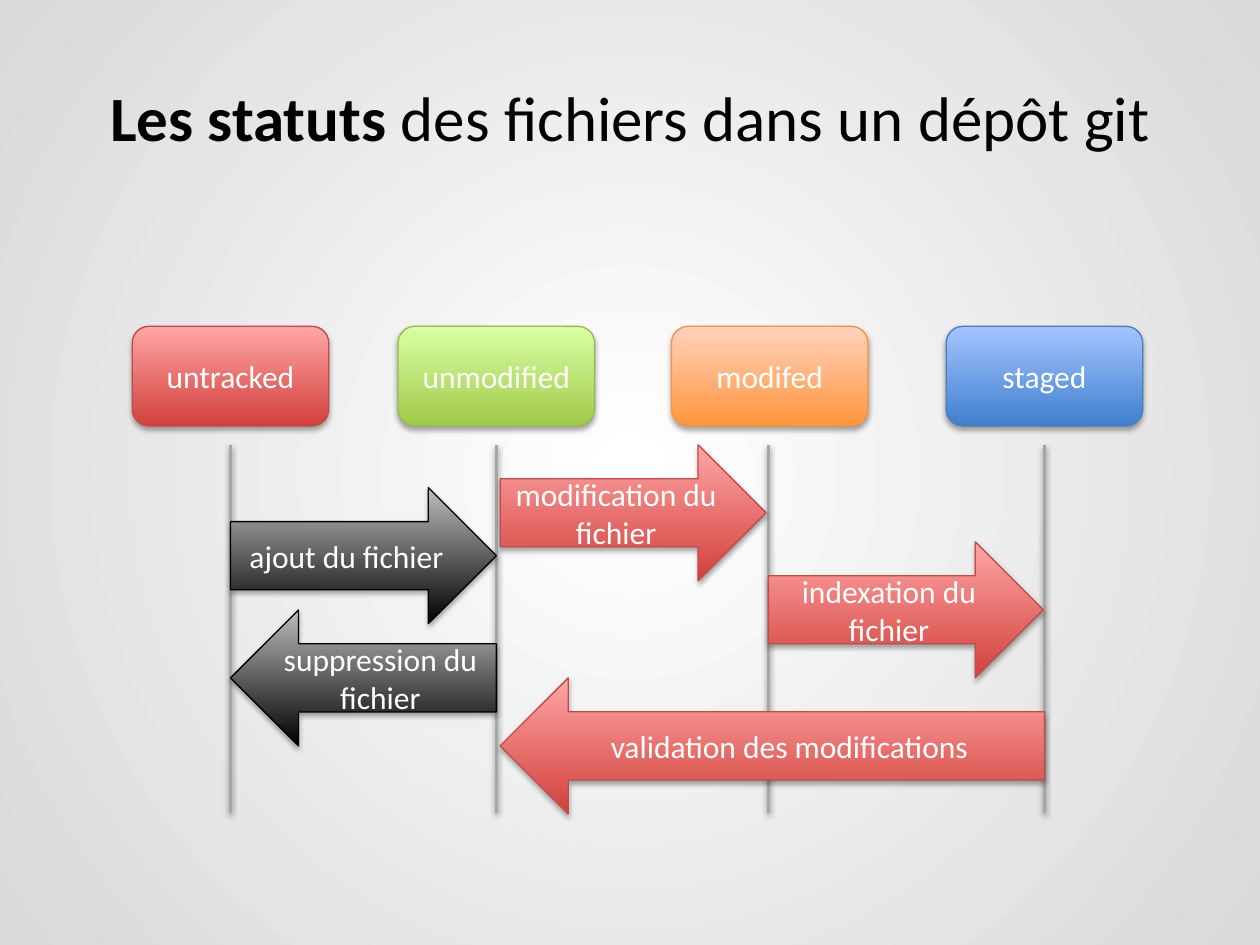
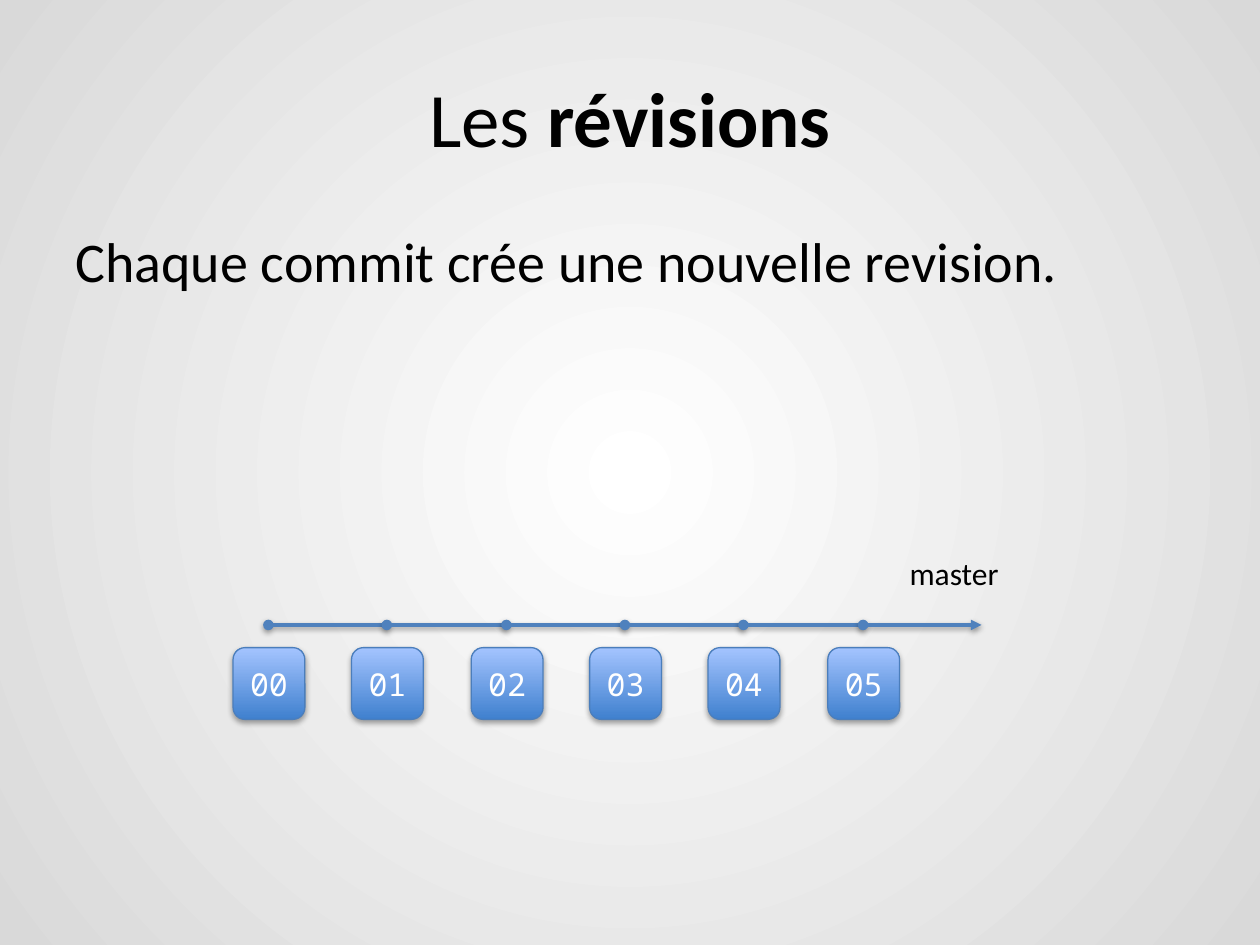
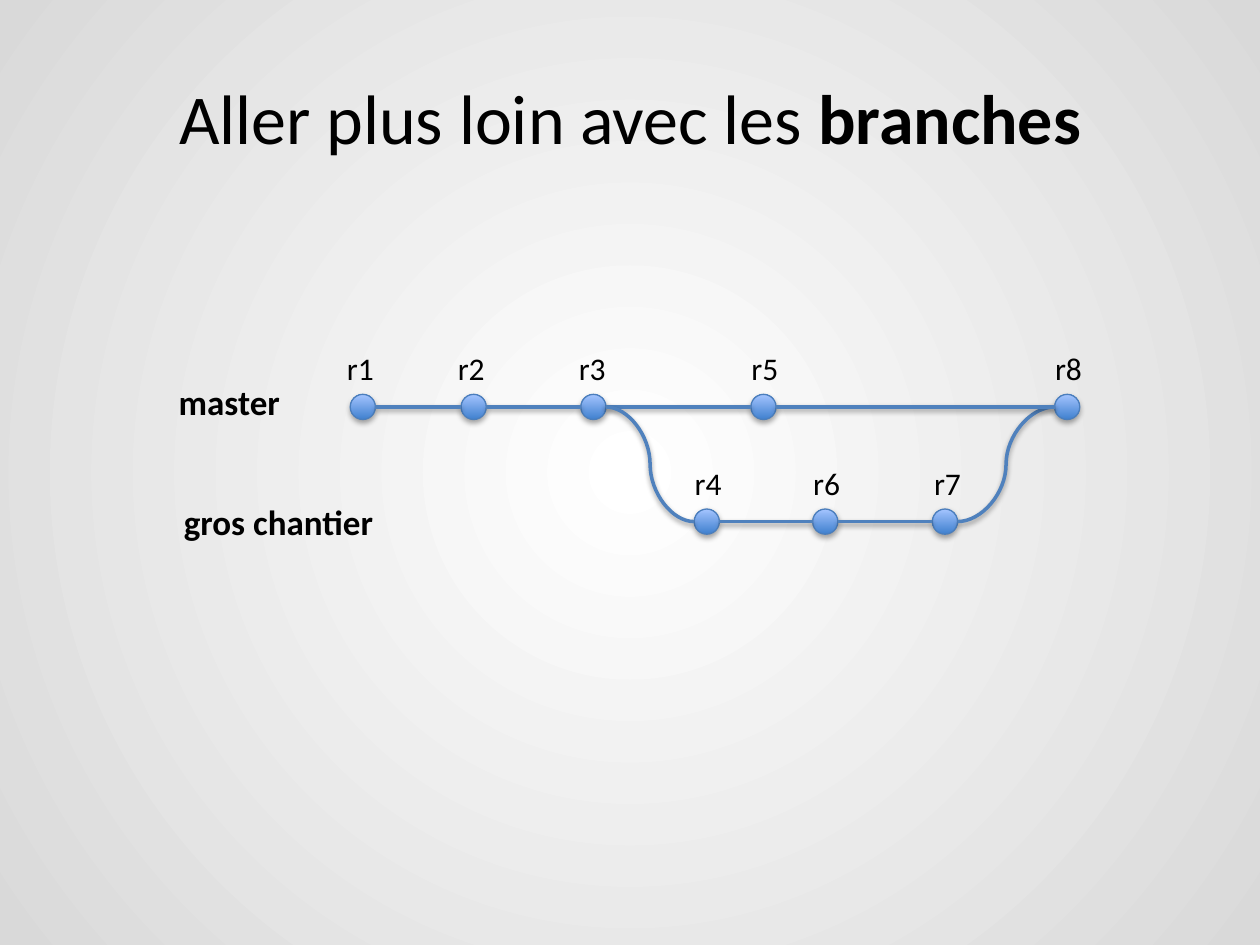
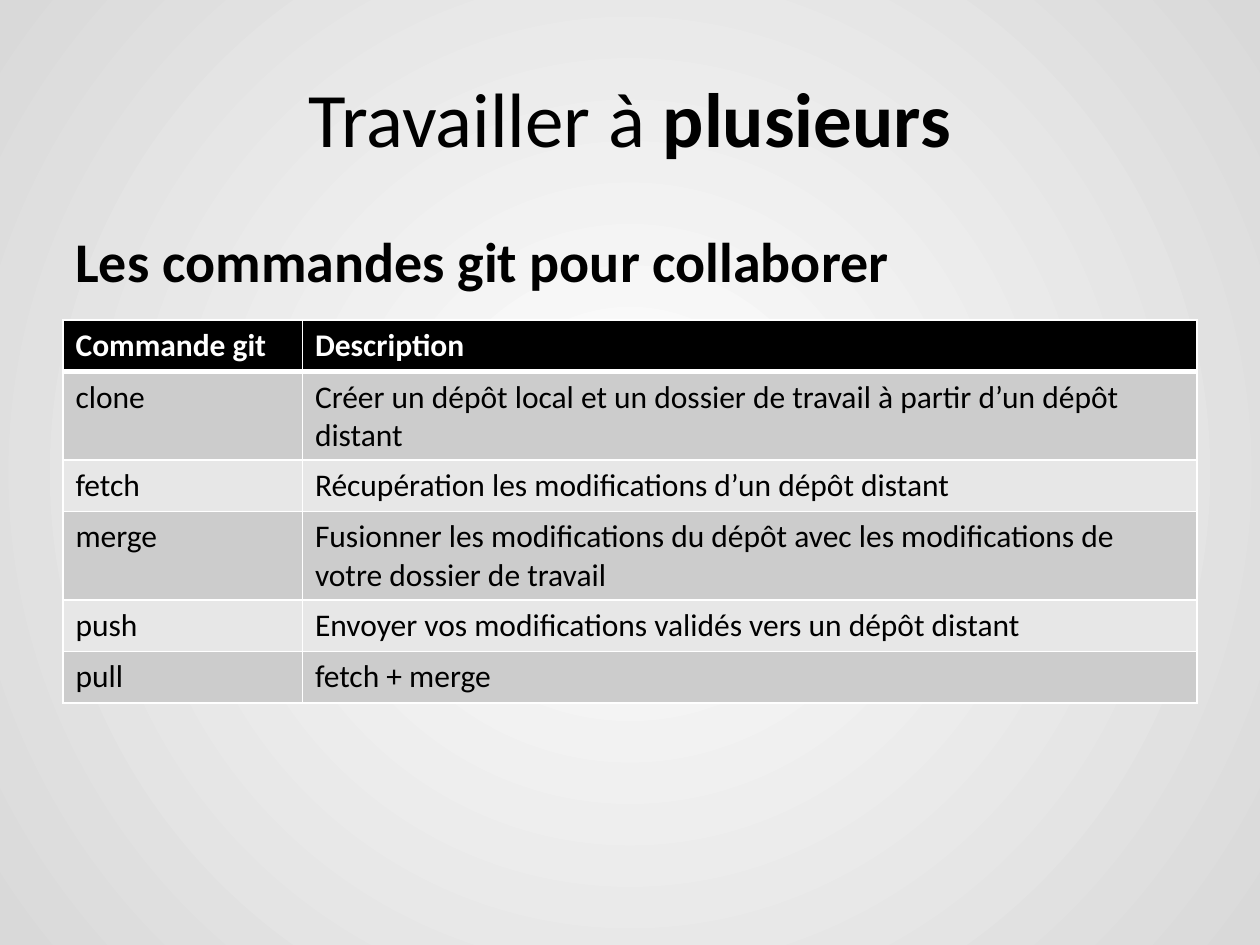
from dataclasses import dataclass

from lxml.etree import SubElement
from pptx import Presentation
from pptx.dml.color import RGBColor
from pptx.enum.shapes import MSO_CONNECTOR, MSO_SHAPE
from pptx.enum.text import MSO_ANCHOR, MSO_AUTO_SIZE, PP_ALIGN
from pptx.oxml.ns import qn
from pptx.util import Emu, Pt

EMU_PER_PX = 9144  # 100 px to the inch
SLIDE_WIDTH, SLIDE_HEIGHT = 1000, 750
TITLE_ONLY = 5
SANS, MONO = "Calibri", "Noto Sans Mono"

COLORS = {
    "white": "FFFFFF",
    "black": "000000",
    "edge_grey": "D9D9D9",
    "lifeline": "A6A6A6",
    "link": "4F81BD",
    "band_dark": "CCCCCC",
    "band_light": "E7E7E7",
    "red_low": "D1403C", "red_high": "FFA6A5", "red_line": "BF4C48",
    "green_low": "A0CA4A", "green_high": "DAFFA5", "green_line": "98B955",
    "orange_low": "FF953E", "orange_high": "FFD2BD", "orange_line": "F69240",
    "blue_low": "3F80CE", "blue_high": "A4C4FF", "blue_line": "4B7EBC",
    "black_low": "000000", "black_high": "BDBDBD", "black_line": "000000",
}


@dataclass(frozen=True)
class Box:
    left: int
    top: int
    width: int
    height: int

    def emu(self) -> tuple:
        return tuple(px(n) for n in (self.left, self.top, self.width, self.height))


@dataclass(frozen=True)
class Status:
    name: str
    left: int
    lifeline: int
    tone: str


@dataclass(frozen=True)
class Transition:
    label: str
    box: Box
    tone: str = "red"
    backward: bool = False


@dataclass(frozen=True)
class Commit:
    name: str
    left: int
    top: int
    label_left: int
    parents: tuple = ()


# Shared helpers
def px(length: int) -> Emu:
    return Emu(length * EMU_PER_PX)


def rgb(name: str) -> RGBColor:
    return RGBColor.from_string(COLORS[name])


def write(frame, text: str, *, size: int = 18, color: str = "black", font: str = SANS,
          bold: bool = False, align=PP_ALIGN.LEFT, before: float = 0) -> None:
    """Fill a text frame; words between asterisks are bold."""
    paragraph = frame.paragraphs[0]
    paragraph.alignment = align
    if before:
        paragraph.space_before = Pt(before)
    for index, part in enumerate(text.split("*")):
        if part:
            run = paragraph.add_run()
            run.text = part
            run.font.name = font
            run.font.size = Pt(size)
            run.font.bold = bold or index % 2 == 1
            run.font.color.rgb = rgb(color)


def set_gradient(fill, start: str, end: str) -> None:
    fill.gradient()
    for stop, name in zip(fill.gradient_stops, (start, end)):
        stop.color.rgb = rgb(name)


def add_shadow(shape, *, opacity: int, distance: int) -> None:
    effects = SubElement(shape.element.spPr, qn("a:effectLst"))
    shadow = SubElement(effects, qn("a:outerShdw"), blurRad="40000", dist=str(distance),
                        dir="5400000", rotWithShape="0")
    black = SubElement(shadow, qn("a:srgbClr"), val=COLORS["black"])
    SubElement(black, qn("a:alpha"), val=str(opacity * 1000))


def add_block(slide, preset, box: Box, tone: str, text: str = "", *, font: str = SANS,
              flipped: bool = False) -> None:
    block = slide.shapes.add_shape(preset, *box.emu())
    set_gradient(block.fill, f"{tone}_low", f"{tone}_high")
    block.fill.gradient_angle = 90
    block.line.color.rgb = rgb(f"{tone}_line")
    block.line.width = Pt(0.75)
    add_shadow(block, opacity=35, distance=23000)
    if flipped:
        block.element.spPr.find(qn("a:xfrm")).set("flipH", "1")
    if text:
        block.text_frame.vertical_anchor = MSO_ANCHOR.MIDDLE
        write(block.text_frame, text, color="white", font=font, align=PP_ALIGN.CENTER)


def add_link(slide, start: tuple, end: tuple, *, color: str = "link", curved: bool = False,
             head: str = "", tail: str = "") -> None:
    kind = MSO_CONNECTOR.CURVE if curved else MSO_CONNECTOR.STRAIGHT
    link = slide.shapes.add_connector(kind, *(px(n) for n in start + end))
    link.line.color.rgb = rgb(color)
    link.line.width = Pt(2)
    outline = link.element.spPr.find(qn("a:ln"))
    for tag, ending in (("a:headEnd", head), ("a:tailEnd", tail)):
        if ending:
            SubElement(outline, qn(tag), type=ending)
    add_shadow(link, opacity=38, distance=20000)


def add_label(slide, box: Box, text: str, *, size: int = 18, bold: bool = False,
              align=PP_ALIGN.CENTER) -> None:
    frame = slide.shapes.add_textbox(*box.emu()).text_frame
    frame.word_wrap = False
    frame.auto_size = MSO_AUTO_SIZE.SHAPE_TO_FIT_TEXT
    write(frame, text, size=size, bold=bold, align=align)


def add_lead(slide, text: str, height: int, *, bold: bool = False) -> None:
    frame = slide.shapes.add_textbox(*Box(50, 175, 900, height).emu()).text_frame
    frame.word_wrap = True
    write(frame, text, size=32, bold=bold, before=6.4)


def add_titled_slide(deck, title: str, size: int):
    slide = deck.slides.add_slide(deck.slide_layouts[TITLE_ONLY])
    heading = slide.shapes.title
    heading.left, heading.top, heading.width, heading.height = Box(50, 30, 900, 125).emu()
    heading.text_frame.auto_size = MSO_AUTO_SIZE.NONE
    heading.text_frame.vertical_anchor = MSO_ANCHOR.MIDDLE
    write(heading.text_frame, title, size=size, align=PP_ALIGN.CENTER)
    return slide


def set_background(master) -> None:
    set_gradient(master.background.fill, "white", "edge_grey")
    gradient = master.element.find(".//" + qn("p:bgPr")).find(qn("a:gradFill"))
    gradient.remove(gradient.find(qn("a:lin")))
    circle = SubElement(gradient, qn("a:path"), path="circle")
    SubElement(circle, qn("a:fillToRect"), l="50000", t="50000", r="50000", b="50000")


# Slide 1: file statuses and the moves between them
STATUSES = [
    Status("untracked", 105, 183, "red"),
    Status("unmodified", 316, 394, "green"),
    Status("modifed", 533, 610, "orange"),
    Status("staged", 751, 829, "blue"),
]
TRANSITIONS = [
    Transition("ajout du fichier", Box(183, 387, 211, 108), "black"),
    Transition("suppression du fichier", Box(183, 484, 211, 108), "black", backward=True),
    Transition("modification du fichier", Box(397, 353, 211, 108)),
    Transition("indexation du fichier", Box(610, 430, 218, 108)),
    Transition("validation des modifications", Box(397, 538, 432, 108), backward=True),
]


def build_statuses(deck) -> None:
    slide = add_titled_slide(deck, "*Les statuts *des fichiers dans un dépôt git", 36)
    for status in STATUSES:
        add_block(slide, MSO_SHAPE.ROUNDED_RECTANGLE, Box(status.left, 259, 156, 79),
                  status.tone, status.name)
    for status in STATUSES:
        add_link(slide, (status.lifeline, 353), (status.lifeline, 645), color="lifeline")
    for move in TRANSITIONS:
        add_block(slide, MSO_SHAPE.RIGHT_ARROW, move.box, move.tone, move.label,
                  flipped=move.backward)


# Slide 2: numbered revisions along the master line
REVISION_COUNT = 6
TIMELINE_START, TIMELINE_LENGTH, TIMELINE_Y = 213, 566, 496
REVISION_SIZE = 57


def build_revisions(deck) -> None:
    slide = add_titled_slide(deck, "Les *révisions*", 44)
    add_lead(slide, "Chaque commit crée une nouvelle revision.", 207)
    stops = [TIMELINE_START + round(i * TIMELINE_LENGTH / REVISION_COUNT)
             for i in range(REVISION_COUNT + 1)]
    for start, end in zip(stops, stops[1:]):
        add_link(slide, (start, TIMELINE_Y), (end, TIMELINE_Y), head="oval",
                 tail="triangle" if end == stops[-1] else "")
    add_label(slide, Box(712, 435, 92, 40), "master", align=PP_ALIGN.LEFT)
    for number, center in enumerate(stops[:-1]):
        box = Box(center - REVISION_SIZE // 2, 514, REVISION_SIZE, REVISION_SIZE)
        add_block(slide, MSO_SHAPE.ROUNDED_RECTANGLE, box, "blue", f"{number:02}", font=MONO)


# Slide 3: a side branch leaving master and merging back
DOT = 20
MASTER_TOP, BRANCH_TOP = 313, 404
COMMITS = [
    Commit("r1", 278, MASTER_TOP, 265),
    Commit("r2", 366, MASTER_TOP, 353, ("r1",)),
    Commit("r3", 461, MASTER_TOP, 449, ("r2",)),
    Commit("r5", 596, MASTER_TOP, 586, ("r3",)),
    Commit("r4", 551, BRANCH_TOP, 541, ("r3",)),
    Commit("r6", 645, BRANCH_TOP, 635, ("r4",)),
    Commit("r7", 740, BRANCH_TOP, 731, ("r6",)),
    Commit("r8", 837, MASTER_TOP, 827, ("r7", "r5")),
]


def build_branches(deck) -> None:
    slide = add_titled_slide(deck, "Aller plus loin avec les *branches*", 40)
    add_label(slide, Box(131, 297, 102, 44), "master", size=20, bold=True)
    add_label(slide, Box(135, 392, 172, 44), "gros chantier", size=20, bold=True)
    by_name = {commit.name: commit for commit in COMMITS}
    for commit in COMMITS:
        add_block(slide, MSO_SHAPE.OVAL, Box(commit.left, commit.top, DOT, DOT), "blue")
        add_label(slide, Box(commit.label_left, commit.top - 41, 42, 40), commit.name)
        for parent in (by_name[name] for name in commit.parents):
            add_link(slide, (parent.left + DOT, parent.top + DOT // 2),
                     (commit.left, commit.top + DOT // 2), curved=parent.top != commit.top)


# Slide 4: commands for working together
COMMANDS = [
    ("Commande git", "Description"),
    ("clone", "Créer un dépôt local et un dossier de travail à partir d’un dépôt distant"),
    ("fetch", "Récupération les modifications d’un dépôt distant"),
    ("merge", "Fusionner les modifications du dépôt avec les modifications de "
              "votre dossier de travail"),
    ("push", "Envoyer vos modifications validés vers un dépôt distant"),
    ("pull", "fetch + merge"),
]
COLUMN_WIDTHS = (190, 710)
ROW_HEIGHT = 41


def set_borders(cell, top: int, bottom: int) -> None:
    properties = cell._tc.get_or_add_tcPr()
    for side, width in (("L", 1), ("R", 1), ("T", top), ("B", bottom)):
        border = SubElement(properties, qn(f"a:ln{side}"), w=str(Pt(width)))
        fill = SubElement(border, qn("a:solidFill"))
        SubElement(fill, qn("a:srgbClr"), val=COLORS["white"])


def build_commands(deck) -> None:
    slide = add_titled_slide(deck, "Travailler à *plusieurs*", 44)
    add_lead(slide, "Les commandes git pour collaborer", 79, bold=True)
    box = Box(50, 254, sum(COLUMN_WIDTHS), ROW_HEIGHT * len(COMMANDS))
    commands = slide.shapes.add_table(len(COMMANDS), len(COLUMN_WIDTHS), *box.emu()).table
    commands.first_row = commands.horz_banding = False
    for column, width in zip(commands.columns, COLUMN_WIDTHS):
        column.width = px(width)
    for row, texts in enumerate(COMMANDS):
        header = row == 0
        band = "black" if header else ("band_light", "band_dark")[row % 2]
        for column, text in enumerate(texts):
            cell = commands.cell(row, column)
            set_borders(cell, top=3 if row == 1 else 1, bottom=3 if header else 1)
            cell.fill.solid()
            cell.fill.fore_color.rgb = rgb(band)
            write(cell.text_frame, text, bold=header, color="white" if header else "black")


def main() -> None:
    deck = Presentation()
    deck.slide_width, deck.slide_height = px(SLIDE_WIDTH), px(SLIDE_HEIGHT)
    set_background(deck.slide_master)
    for build in (build_statuses, build_revisions, build_branches, build_commands):
        build(deck)
    deck.save("out.pptx")


if __name__ == "__main__":
    main()
